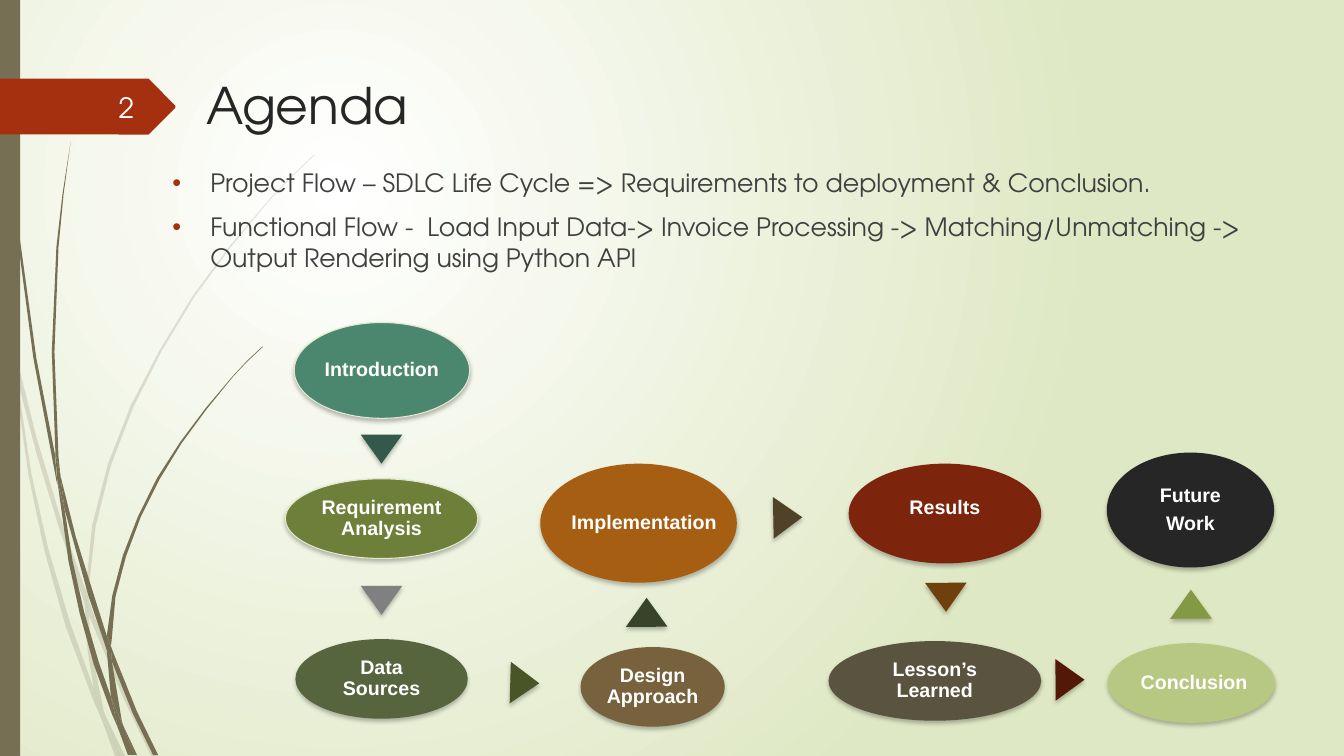
from lxml import etree
from pptx import Presentation
from pptx.dml.color import RGBColor
from pptx.enum.shapes import MSO_SHAPE
from pptx.enum.text import MSO_ANCHOR, MSO_AUTO_SIZE, PP_ALIGN
from pptx.oxml.ns import qn
from pptx.util import Pt

OVAL, RECT, ARROW = MSO_SHAPE.OVAL, MSO_SHAPE.RECTANGLE, MSO_SHAPE.ISOSCELES_TRIANGLE
LEFT, MID, RIGHT = PP_ALIGN.LEFT, PP_ALIGN.CENTER, PP_ALIGN.RIGHT
TOP, MIDDLE = MSO_ANCHOR.TOP, MSO_ANCHOR.MIDDLE
FACE, BOLD_FACE = "TeX Gyre Adventor", "Arial"
WIDE, HIGH = 960, 540

COLORS = {
    "white": "FFFFFF", "pale": "DFE8C4", "rim": "E3EACF", "stalk": "766F54",
    "red": "A53010", "title": "262626", "body": "404040", "page": "FEFFFF",
    "teal": "4B866E", "olive": "6D7F39", "moss": "56653E", "tan": "77623D",
    "amber": "A65E12", "rust": "7C240C", "lime": "B6C882", "black": "262626",
    "stone": "59533F", "pine": "325949", "gray": "808080", "fern": "495526",
    "forest": "39432A", "brown": "6F3F0C", "leaf": "839943", "wine": "521808",
    "umber": "504228",
}

# Grass blades, each a closed outline
PALE_BLADES = [
    [(7.9, 252), (6.5, 231.8), (0, 203), (0, 215.3), (7.2, 247.7)],
    [(41.8, 375.8), (60.5, 431.3), (61.2, 421.9), (44.6, 374.4), (25.9, 311.8),
     (10.1, 248.4), (12.2, 270.7), (25.9, 323.3)],
    [(66.2, 437), (63.4, 429.1), (63.4, 439.2), (88.6, 499.7), (108, 540),
     (111.6, 540), (91.4, 498.2)],
    [(85.7, 540), (89.3, 540), (75.6, 511.9)],
    [(67, 491.8), (50.4, 445.7), (34.6, 392.4), (22.3, 337.7), (12.2, 270.7),
     (7.9, 252), (20.2, 338.4), (31.7, 393.1), (46.8, 447.1), (66.2, 499),
     (72.7, 514.1), (71.3, 509)],
    [(60.5, 431.3), (62.6, 465.1), (67, 491.8), (69.1, 498.2), (75.6, 511.9),
     (74.2, 508.3), (65.5, 465.1), (63.4, 439.2), (63.4, 437.8)],
    [(63.4, 420.5), (68.4, 375.8), (79.2, 332.6), (95.3, 290.9), (115.2, 251.3),
     (138.4, 212.8), (164.9, 176.4), (193, 142.6), (208.8, 126), (224.6, 110.9),
     (224.6, 110.2), (208.1, 126), (193, 141.8), (164.2, 175.7), (137.3, 212),
     (113.8, 250.6), (93.2, 290.2), (77, 331.9), (65.9, 375.1), (61.2, 420.5),
     (61.2, 421.9), (63.4, 429.1)],
    [(72.7, 514.1), (82.1, 540), (85.7, 540)],
    [(63.4, 437.8), (63.4, 439.2), (63.4, 429.1), (61.2, 421.9), (60.5, 431.3)],
    [(69.1, 498.2), (67, 491.8), (71.3, 509), (72.7, 514.1), (85.7, 540),
     (75.6, 511.9)],
]
DARK_BLADES = [
    [(5, 79.2), (12.2, 167.8), (23.8, 255.6), (40.3, 343.4), (41, 346.3),
     (39.6, 329), (39.6, 326.2), (25.9, 255.6), (13.7, 167), (5.8, 78.5),
     (3.6, 34.6), (2.9, 0), (2.2, 0), (2.9, 34.6)],
    [(63.4, 426.2), (76.3, 464.4), (76.3, 455.8), (76.3, 454.3), (67, 424.8),
     (54, 383), (43.2, 339.8), (46.1, 363.6)],
    [(81.4, 467.3), (79.2, 461.5), (79.9, 472.3), (95, 509.8), (109.4, 539.3),
     (113, 539.3), (97.9, 508.3)],
    [(79.2, 497.5), (70.6, 473), (60.1, 437), (51.8, 400.3), (46.1, 363.6),
     (41, 343.4), (49, 401), (56.9, 437.8), (67, 474.5), (79.9, 509.8),
     (84.2, 519.8), (83.5, 516.2)],
    [(43.2, 339.8), (41.8, 326.2), (38.9, 251.3), (41.8, 176.4), (45.4, 139),
     (50.4, 101.5), (44.6, 139), (40.3, 176.4), (37, 251.3), (39.6, 323.3)],
    [(95.8, 539.3), (97.9, 539.3), (87.8, 517.7)],
    [(41, 343.4), (46.1, 363.6), (43.2, 339.8), (39.6, 323.3), (39.6, 326.2)],
    [(79.9, 455.8), (82.5, 426.2), (90, 397.4), (100.5, 369.4), (113.8, 342.7),
     (129.6, 316.8), (147.6, 292.3), (166.3, 269.3), (176.4, 258.5),
     (187.9, 247.7), (187.2, 247.7), (176.4, 257.8), (166.3, 268.6),
     (146.9, 291.6), (128.5, 316.1), (112.3, 341.3), (98.7, 368.6),
     (87.8, 396.7), (80.2, 425.5), (76.3, 454.3), (79.2, 461.5)],
    [(84.2, 519.8), (91.4, 539.3), (94.3, 539.3)],
    [(76.3, 464.4), (79.2, 497.5), (83.5, 508.3), (87.8, 517.7), (87.1, 515.5),
     (79.9, 472.3), (78.5, 468.7)],
    [(76.3, 464.4), (78.5, 468.7), (79.9, 472.3), (79.2, 461.5), (76.3, 454.3)],
    [(83.5, 508.3), (79.2, 497.5), (83.5, 516.2), (84.2, 519.8), (93.6, 539.3),
     (95.8, 539.3), (87.8, 517.7)],
]
TAG = [(0, 56.2), (106.2, 56.2), (125.3, 75.6), (125.3, 77), (106.2, 96.1), (0, 96)]

# Text, colour, box, and any extra settings
STEPS = [
    ("Introduction", "teal", (210.2, 230.4, 125.3, 68.4), {"rim": "rim"}),
    ("Requirement Analysis", "olive", (203.8, 342, 137.5, 56.9), {"rim": "rim"}),
    ("Data Sources", "moss", (211, 456.5, 123.1, 56.9), {}),
    ("Design Approach", "tan", (414.7, 462.2, 103, 56.9), {}),
    ("Implementation", "amber", (385.9, 331.2, 140.4, 85),
     {"wrap": False, "inset": (9.5, 1.5, 1.5, 1.5)}),
    ("Results", "rust", (606.2, 331.2, 137.5, 71.3), {"inset": (1.5, 1.5, 1.5, 9.5)}),
    ("Lesson’s Learned", "stone", (591.8, 457.9, 151.9, 56.9), {}),
    (" Conclusion", "lime", (791.3, 459.4, 119.5, 56.9), {}),
    ("Future\nWork", "black", (790.6, 323.3, 119.5, 82.1), {}),
]
# Colour, centre x, centre y, turn
ARROWS = [
    ("pine", 272.5, 320.8, 180), ("gray", 272.5, 428.8, 180),
    ("fern", 374.8, 487.8, 91.5), ("forest", 461.9, 437.4, -0.2),
    ("umber", 562.7, 369.7, 88.9), ("brown", 675.7, 426.6, 179.5),
    ("wine", 764.3, 485.6, 89.7), ("leaf", 850.7, 431.6, -0.2),
]
POINTS = (
    "Project Flow – SDLC Life Cycle => Requirements to deployment & Conclusion.\n"
    "Functional Flow -  Load Input Data-> Invoice Processing -> "
    "Matching/Unmatching -> Output Rendering using Python API"
)


def rgb(name):
    return RGBColor.from_string(COLORS[name])


def node(parent, tag, **attrs):
    return etree.SubElement(parent, qn(tag), {k: str(v) for k, v in attrs.items()})


def write(shape, text, size, color, face=FACE, bold=False, align=LEFT, anchor=TOP,
          inset=None, wrap=True, before=0, after=0, lead=None, bullet=None):
    frame = shape.text_frame
    frame.text = text
    frame.auto_size = MSO_AUTO_SIZE.NONE
    frame.word_wrap, frame.vertical_anchor = wrap, anchor
    if inset:
        (frame.margin_left, frame.margin_top,
         frame.margin_right, frame.margin_bottom) = map(Pt, inset)
    for para in frame.paragraphs:
        para.alignment, para.line_spacing = align, lead
        para.space_before, para.space_after = Pt(before), Pt(after)
        if bullet:
            mark(para, bullet)
        font = para.runs[0].font
        font.name, font.size, font.bold = face, Pt(size), bold
        font.color.rgb = rgb(color)


def mark(para, color):
    """Give a paragraph a hanging round bullet."""
    props = para._p.get_or_add_pPr()
    props.set("marL", str(Pt(27)))
    props.set("indent", str(-Pt(27)))
    node(node(props, "a:buClr"), "a:srgbClr", val=COLORS[color])
    node(props, "a:buFont", typeface="Arial")
    node(props, "a:buChar", char="•")


def paint(shape, color, rim=None):
    shape.shadow.inherit = False
    shape.fill.solid()
    shape.fill.fore_color.rgb = rgb(color)
    if rim:
        shape.line.color.rgb = rgb(rim)
        shape.line.width = Pt(0.75)
    else:
        shape.line.fill.background()


def add_form(slide, kind, box, color, rim=None):
    shape = slide.shapes.add_shape(kind, *map(Pt, box))
    paint(shape, color, rim)
    return shape


def shade(shape):
    """Drop a soft shadow straight down."""
    effects = shape._element.spPr.find(qn("a:effectLst"))
    drop = node(effects, "a:outerShdw", blurRad=Pt(3), dist=Pt(2), dir=5400000,
                algn="ctr", rotWithShape=0)
    node(node(drop, "a:srgbClr", val="000000"), "a:alpha", val=25000)


def add_outline(slide, points, color, alpha=100):
    spots = [(Pt(x), Pt(y)) for x, y in points]
    pen = slide.shapes.build_freeform(*spots[0], scale=1.0)
    pen.add_line_segments(spots[1:], close=True)
    shape = pen.convert_to_shape()
    paint(shape, color)
    if alpha < 100:
        tint = shape._element.spPr.find(qn("a:solidFill"))[0]
        node(tint, "a:alpha", val=alpha * 1000)


def set_back(slide):
    fill = slide.background.fill
    fill.gradient()
    for stop, color in zip(fill.gradient_stops, ("white", "pale")):
        stop.color.rgb = rgb(color)
    grad = slide.background._cSld.find(".//" + qn("a:gradFill"))
    grad.remove(grad.find(qn("a:lin")))
    ring = node(grad, "a:path", path="circle")
    node(ring, "a:fillToRect", l=50000, t=50000, r=100000, b=100000)


def place(slide, holder, box):
    """Move a placeholder into its box, in front of what is drawn so far."""
    holder.left, holder.top, holder.width, holder.height = map(Pt, box)
    slide.shapes._spTree.append(holder._element)


def add_step(slide, text, color, box, rim=None, inset=(1.5,) * 4, wrap=True):
    oval = add_form(slide, OVAL, box, color, rim)
    shade(oval)
    write(oval, text, 14, "white", face=BOLD_FACE, bold=True, align=MID,
          anchor=MIDDLE, inset=inset, wrap=wrap, after=5, lead=0.9)


def add_arrow(slide, color, x, y, turn, wide=29.7, high=20.7):
    arrow = add_form(slide, ARROW, (x - wide / 2, y - high / 2, wide, high), color)
    arrow.rotation = turn
    shade(arrow)


def main():
    deck = Presentation()
    deck.slide_width, deck.slide_height = Pt(WIDE), Pt(HIGH)
    slide = deck.slides.add_slide(deck.slide_layouts[1])
    title, body = slide.placeholders
    set_back(slide)
    for blades, alpha in ((PALE_BLADES, 20), (DARK_BLADES, 100)):
        for blade in blades:
            add_outline(slide, blade, "stalk", alpha)
    add_form(slide, RECT, (0, 0, 14.4, HIGH), "stalk")
    add_outline(slide, TAG, "red")
    place(slide, title, (140, 49, 766, 100.8))
    write(title, "Agenda", 36, "title")
    place(slide, body, (116, 116, 833, 412))
    write(body, POINTS, 18, "body", before=10, bullet="red")
    for text, color, box, extra in STEPS:
        add_step(slide, text, color, box, **extra)
    for arrow in ARROWS:
        add_arrow(slide, *arrow)
    page = slide.shapes.add_textbox(*map(Pt, (41.8, 62, 61.2, 28.8)))
    write(page, "2", 20, "page", align=RIGHT, anchor=MIDDLE)
    deck.save("out.pptx")


if __name__ == "__main__":
    main()
